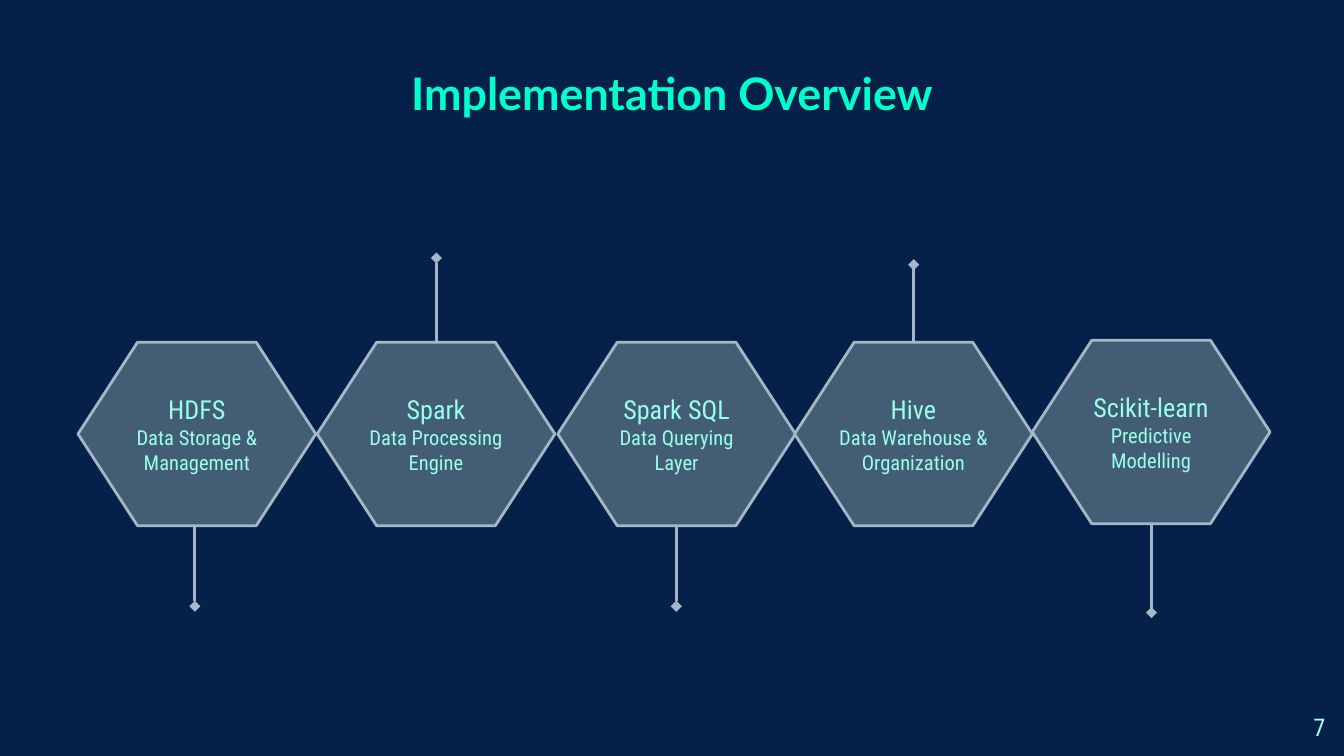
from lxml import etree
from pptx import Presentation
from pptx.dml.color import RGBColor
from pptx.enum import shapes, text
from pptx.oxml import ns
from pptx.util import Pt

NAVY = RGBColor(0x05, 0x21, 0x4A)
MINT = RGBColor(0x00, 0xFF, 0xCD)
AQUA = RGBColor(0x98, 0xFF, 0xEA)
PALE = RGBColor(0xAA, 0xFF, 0xEE)
SLATE = RGBColor(0x43, 0x5D, 0x74)
EDGE = RGBColor(0xA5, 0xB7, 0xC5)
STEM = RGBColor(0xA5, 0xB7, 0xC6)

HEAD = "Lato"
BODY = "Roboto Condensed"
WIDE, HIGH, CUT = 127.4, 98.3, 31.9

STEPS = [
    ("HDFS", "Data Storage &\vManagement", 41.8, 183.4, 104.4, 278, 324.8),
    ("Spark", "Data Processing\vEngine", 169.9, 183.4, 233.8, 185, 138.2),
    ("Spark SQL", "Data Querying\vLayer", 298.8, 183.4, 362.3, 278, 324.8),
    ("Hive", "Data Warehouse &\vOrganization", 425.7, 183.4, 489.5, 188.6, 141.8),
    ("Scikit-learn", "Predictive\vModelling", 553, 182.3, 616.9, 280.7, 328.2),
]


def write(frame, *lines, font=BODY, color=AQUA, bold=False,
          align=text.PP_ALIGN.CENTER, anchor=text.MSO_ANCHOR.MIDDLE):
    """Fill a text frame with (words, size) lines in one format."""
    frame.word_wrap = True
    frame.vertical_anchor = anchor
    frame.margin_left = frame.margin_right = Pt(7.2)
    frame.margin_top = frame.margin_bottom = Pt(7.2)
    for i, (words, size) in enumerate(lines):
        para = frame.add_paragraph() if i else frame.paragraphs[0]
        para.alignment = align
        for j, part in enumerate(words.split("\v")):
            if j:
                para.add_line_break()
            run = para.add_run()
            run.text = part
            run.font.name = font
            run.font.size = Pt(size)
            run.font.bold = bold
            run.font.color.rgb = color


def label(slide, box, words, size, **style):
    """Place a text box in the given box."""
    shape = slide.shapes.add_textbox(*map(Pt, box))
    write(shape.text_frame, (words, size), **style)


def stem(slide, x, start, end):
    """Draw an upright line that ends in a diamond."""
    line = slide.shapes.add_connector(
        shapes.MSO_CONNECTOR.STRAIGHT, Pt(x), Pt(start), Pt(x), Pt(end))
    line.line.color.rgb = STEM
    line.line.width = Pt(1.5)
    etree.SubElement(line.line._get_or_add_ln(), ns.qn("a:tailEnd"), type="diamond")
    etree.SubElement(line._element.spPr, ns.qn("a:effectLst"))


def cell(slide, box, name, role):
    """Draw a hexagon with a tool name and its role."""
    x, y, w, h = box
    dots = [(x + CUT, y), (x, y + h / 2), (x + CUT, y + h),
            (x + w - CUT, y + h), (x + w, y + h / 2), (x + w - CUT, y)]
    dots = [(Pt(a), Pt(b)) for a, b in dots]
    pen = slide.shapes.build_freeform(*dots[0])
    pen.add_line_segments(dots[1:], close=True)
    shape = pen.convert_to_shape()
    shape.shadow.inherit = False
    shape.fill.solid()
    shape.fill.fore_color.rgb = SLATE
    shape.line.color.rgb = EDGE
    shape.line.width = Pt(1.5)
    write(shape.text_frame, (name, 14), (role, 11))


def chain(slide):
    """Draw the row of hexagons, each with its stem."""
    for name, role, left, top, x, start, end in STEPS:
        stem(slide, x, start, end)
        cell(slide, (left, top, WIDE, HIGH), name, role)


def main():
    """Build and save the slide."""
    deck = Presentation()
    deck.slide_width, deck.slide_height = Pt(720), Pt(405)
    slide = deck.slides.add_slide(deck.slide_layouts[6])
    slide.background.fill.solid()
    slide.background.fill.fore_color.rgb = NAVY
    label(slide, (154.8, 28.1, 410.4, 74.2), "Implementation Overview", 24,
          font=HEAD, color=MINT, bold=True, anchor=text.MSO_ANCHOR.TOP)
    chain(slide)
    label(slide, (673.9, 373.7, 43.2, 31), "7", 13,
          color=PALE, align=text.PP_ALIGN.RIGHT)
    deck.save("out.pptx")


if __name__ == "__main__":
    main()
